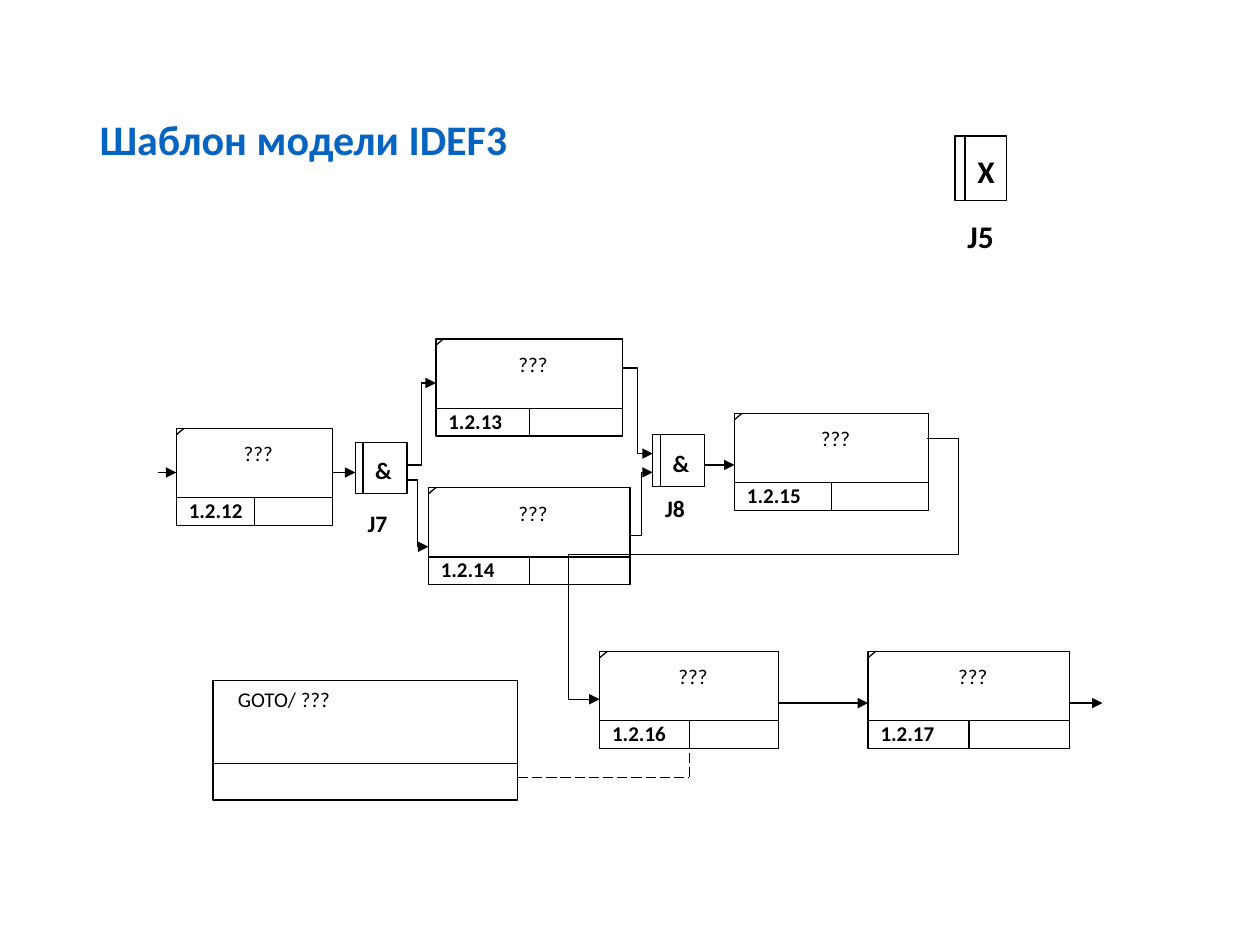
from lxml import etree
from pptx import Presentation
from pptx.dml.color import RGBColor
from pptx.enum.dml import MSO_LINE
from pptx.enum.shapes import MSO_CONNECTOR, MSO_SHAPE
from pptx.enum.text import MSO_ANCHOR, MSO_AUTO_SIZE, PP_ALIGN
from pptx.oxml.ns import qn
from pptx.util import Inches, Pt

BLACK = RGBColor(0x00, 0x00, 0x00)
BLUE = RGBColor(0x05, 0x63, 0xC1)
FONT = "Calibri"
STRAIGHT, ELBOW = MSO_CONNECTOR.STRAIGHT, MSO_CONNECTOR.ELBOW
RECTANGLE = MSO_SHAPE.RECTANGLE
LONG_DASH = MSO_LINE.LONG_DASH
LEFT, CENTER = PP_ALIGN.LEFT, PP_ALIGN.CENTER
MIDDLE = MSO_ANCHOR.MIDDLE
FIT_SHAPE = MSO_AUTO_SIZE.SHAPE_TO_FIT_TEXT


def add_line(shapes, x1, y1, x2, y2, kind=STRAIGHT, arrow=False):
    line = shapes.add_connector(kind, Inches(x1), Inches(y1), Inches(x2), Inches(y2))
    line.line.color.rgb = BLACK
    line.line.width = Pt(0.75)
    if arrow:
        etree.SubElement(line.line._get_or_add_ln(), qn("a:tailEnd"), type="triangle")
    etree.SubElement(line._element.spPr, qn("a:effectLst"))
    return line


def add_block(box, lines, labels):
    """Group a frame with its inner lines and its text labels."""
    shapes = slide.shapes.add_group_shape().shapes
    frame = shapes.add_shape(RECTANGLE, *[Inches(v) for v in box])
    frame.shadow.inherit = False
    frame.fill.background()
    frame.line.color.rgb = BLACK
    frame.line.width = Pt(0.75)
    for ends in lines:
        add_line(shapes, *ends)
    for text, place, size, bold, align in labels:
        tf = shapes.add_textbox(*[Inches(v) for v in place]).text_frame
        tf.word_wrap = True
        tf.auto_size = FIT_SHAPE
        p = tf.paragraphs[0]
        p.alignment = align
        r = p.add_run()
        r.text = text
        r.font.name = FONT
        r.font.size = Pt(size)
        r.font.bold = bold
        r.font.color.rgb = BLACK
    return frame


prs = Presentation()
prs.slide_width, prs.slide_height = Inches(10), Inches(7.5)
slide = prs.slides.add_slide(prs.slide_layouts[5])

# Title
title = slide.shapes.title
title.left, title.top = Inches(0.69), Inches(0.4)
title.width, title.height = Inches(8.62), Inches(1.45)
tf = title.text_frame
tf.vertical_anchor = MIDDLE
p = tf.paragraphs[0]
p.alignment = LEFT
p.line_spacing = 0.9
r = p.add_run()
r.text = "Шаблон модели IDEF3"
r.font.name = FONT
r.font.size = Pt(24)
r.font.bold = True
r.font.color.rgb = BLUE

# Units of behaviour: number, left, top, width
units = {}
for number, x, y, w in [
    ("1.2.12", 1.4, 3.4, 1.24),
    ("1.2.13", 3.46, 2.69, 1.48),
    ("1.2.14", 3.4, 3.87, 1.6),
    ("1.2.15", 5.83, 3.28, 1.54),
    ("1.2.16", 4.76, 5.17, 1.42),
    ("1.2.17", 6.89, 5.17, 1.6),
]:
    mid, split, bottom = x + w / 2, y + 0.55, y + 0.77
    tick = 0.06
    units[number] = add_block(
        (x, y, w, 0.77),
        [(x, split, x + w, split), (mid, split, mid, bottom),
         (x + tick, y, x, y + 0.05)],
        [(number, (x, y + 0.5, max(w / 2, 0.74), 0.3), 12, True, LEFT),
         ("???", (x + tick, y + 0.05, w - tick, 0.3), 12, False, CENTER)],
    )

# Arrows between units and junctions
for ends in [
    (1.25, 3.75, 1.4, 3.75),
    (2.64, 3.75, 2.82, 3.75),
    (5.59, 3.69, 5.83, 3.69),
    (6.18, 5.58, 6.89, 5.58),
    (8.49, 5.58, 8.75, 5.58),
]:
    add_line(slide.shapes, *ends, arrow=True)
for ends in [
    (3.23, 3.69, 3.46, 3.04),
    (3.23, 3.81, 3.4, 4.34),
    (4.94, 2.92, 5.18, 3.6),
    (5, 4.25, 5.18, 3.75),
]:
    add_line(slide.shapes, *ends, kind=ELBOW, arrow=True)

# Return arrow with five segments
back = add_line(slide.shapes, 7.36, 3.48, 4.76, 5.55, kind=ELBOW, arrow=True)
geom = back._element.spPr.find(qn("a:prstGeom"))
geom.set("prst", "bentConnector5")
guides = geom.find(qn("a:avLst"))
for i, value in enumerate((-9600, 44400, 109600), start=1):
    etree.SubElement(guides, qn("a:gd"), name=f"adj{i}", fmla=f"val {value}")

# GOTO reference and its dashed link
add_block(
    (1.69, 5.4, 2.42, 0.95),
    [(1.69, 6.06, 4.11, 6.06)],
    [("GOTO/ ???", (1.79, 5.4, 2.33, 0.3), 12, False, LEFT)],
)
link_side = add_line(slide.shapes, 4.11, 6.17, 5.47, 6.17)
link_up = add_line(slide.shapes, 5.47, 6.17, 5.47, 5.94)
link_up.end_connect(units["1.2.16"], 2)
for link in (link_side, link_up):
    link.line.dash_style = LONG_DASH

# Junctions: sign, name, left, top, height, bar offset, sign and name offsets, size
for sign, name, x, y, h, bar, sign_dy, name_dy, name_w, size in [
    ("&", "J7", 2.82, 3.51, 0.41, 0.06, 0.06, 0.48, 0.41, 13.5),
    ("&", "J8", 5.18, 3.45, 0.41, 0.06, 0.06, 0.42, 0.41, 13.5),
    ("Х", "J5", 7.58, 1.08, 0.51, 0.08, 0.08, 0.59, 0.57, 18),
]:
    text_h = size / 60 + 0.1
    add_block(
        (x, y, 0.41, h),
        [(x + bar, y, x + bar, y + h)],
        [(sign, (x + bar, y + sign_dy, 0.33, text_h), size, True, LEFT),
         (name, (x, y + name_dy, name_w, text_h), size, True, LEFT)],
    )

prs.save("out.pptx")
